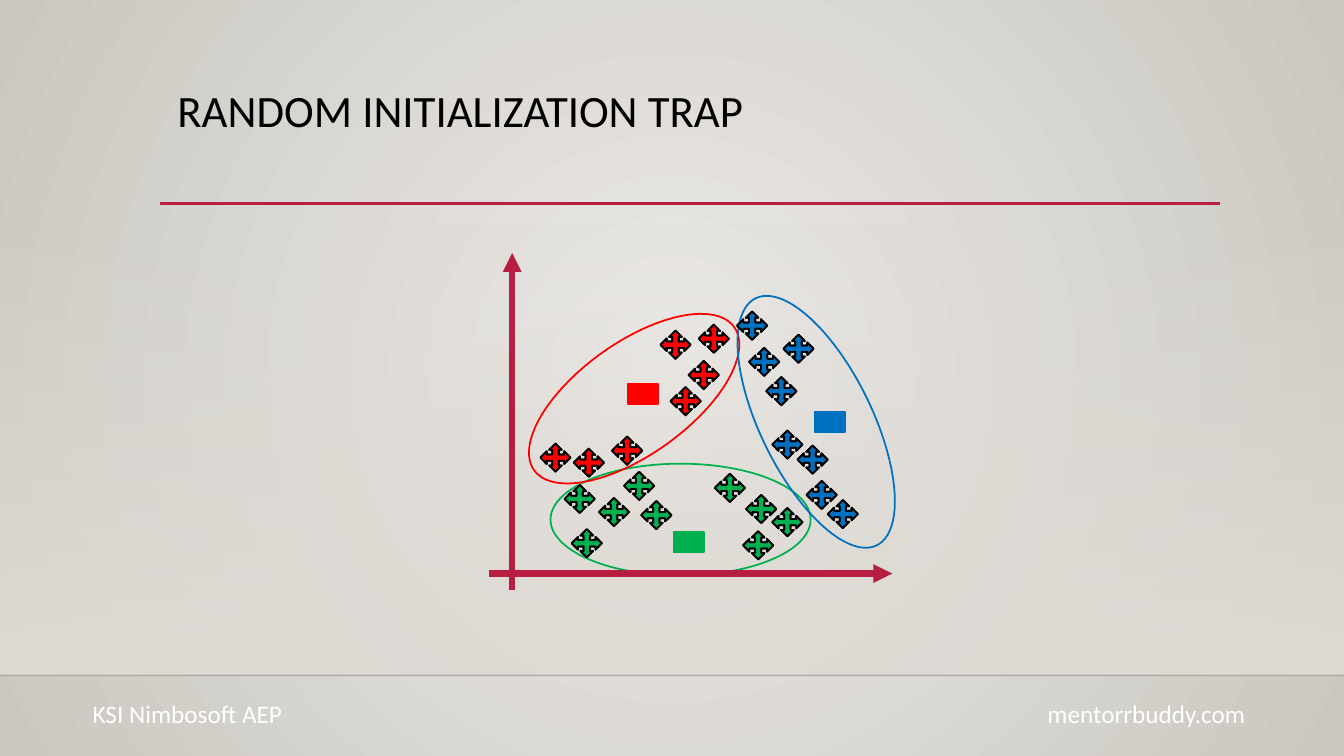
from lxml import etree
from pptx import Presentation
from pptx.dml.color import RGBColor
from pptx.enum import shapes, text
from pptx.oxml import ns
from pptx.util import Inches, Pt

BLACK = RGBColor(0x00, 0x00, 0x00)
WHITE = RGBColor(0xFF, 0xFF, 0xFF)
CRIMSON = RGBColor(0xB7, 0x1E, 0x42)
RED = RGBColor(0xFF, 0x00, 0x00)
GREEN = RGBColor(0x00, 0xB0, 0x50)
BLUE = RGBColor(0x00, 0x70, 0xC0)
PALE = RGBColor(0xEC, 0xEA, 0xE7)
STONE = RGBColor(0xCA, 0xC7, 0xC1)
SAND = RGBColor(0xDF, 0xDB, 0xD5)

# Each cluster: colour, ellipse box, ellipse rotation, centroid corner, point corners
CLUSTERS = [
    (GREEN, (5.46, 4.6, 2.58, 1.11), 0, (6.68, 5.28),
     [(5.94, 4.94), (5.6, 4.81), (5.67, 5.25), (6.19, 4.68), (6.36, 4.97),
      (7.09, 4.7), (7.66, 5.04), (7.4, 4.91), (7.37, 5.27)]),
    (RED, (5.07, 3.4, 2.44, 1.11), 324.4, (6.23, 3.81),
     [(5.36, 4.4), (5.69, 4.45), (6.07, 4.33), (6.55, 3.28), (6.83, 3.58),
      (6.93, 3.22), (6.65, 3.84)]),
    (BLUE, (6.73, 3.63, 2.73, 1.11), 63.9, (8.08, 4.09),
     [(7.77, 3.32), (7.31, 3.09), (7.43, 3.45), (7.6, 3.74), (7.66, 4.27),
      (7.91, 4.42), (8, 4.77), (8.21, 4.96)]),
]
CENTROID_SIZE = (0.3, 0.2)
POINT_SIZE = (0.3, 0.28)


def add_alpha(color_element, percent):
    etree.SubElement(color_element, ns.qn("a:alpha"), val=str(percent * 1000))


class SlideBuilder:
    """Holds the current slide and its text and line style."""
    font_name = "Calibri"
    outline_width = 1.25

    def __init__(self, presentation):
        self.slide = presentation.slides.add_slide(presentation.slide_layouts[5])

    def gradient(self, fill, element, stops, centred=False):
        """Fill with (position, colour, opacity) stops, downwards or from the centre."""
        fill.gradient()
        gradient = element.find(".//" + ns.qn("a:gradFill"))
        for child in list(gradient):
            gradient.remove(child)
        stop_list = etree.SubElement(gradient, ns.qn("a:gsLst"))
        for position, color, opacity in stops:
            stop = etree.SubElement(stop_list, ns.qn("a:gs"), pos=str(position * 1000))
            add_alpha(etree.SubElement(stop, ns.qn("a:srgbClr"), val=str(color)), opacity)
        if centred:
            circle = etree.SubElement(gradient, ns.qn("a:path"), {"path": "circle"})
            etree.SubElement(circle, ns.qn("a:fillToRect"),
                             l="50000", t="50000", r="50000", b="50000")
        else:
            etree.SubElement(gradient, ns.qn("a:lin"), ang="5400000", scaled="0")

    def background(self):
        self.gradient(self.slide.background.fill, self.slide.element,
                      [(0, PALE, 100), (100, STONE, 100)], centred=True)

    def panel(self, box):
        panel = self.shape(shapes.MSO_SHAPE.RECTANGLE, box)
        self.gradient(panel.fill, panel.element, [(0, SAND, 0), (100, SAND, 100)])

    def shape(self, kind, box, fill=None, line=None, rotation=0):
        shape = self.slide.shapes.add_shape(kind, *map(Inches, box))
        shape.shadow.inherit = False
        shape.rotation = rotation
        if fill is None:
            shape.fill.background()
        else:
            shape.fill.solid()
            shape.fill.fore_color.rgb = fill
        if line is None:
            shape.line.fill.background()
        else:
            shape.line.color.rgb = line
            shape.line.width = Pt(self.outline_width)
        return shape

    def line(self, start, end, color, width, arrow=False, opacity=100):
        connector = self.slide.shapes.add_connector(
            shapes.MSO_CONNECTOR.STRAIGHT, *map(Inches, start + end))
        connector.line.color.rgb = color
        connector.line.width = Pt(width)
        properties = connector.element.spPr
        outline = properties.find(ns.qn("a:ln"))
        if opacity < 100:
            add_alpha(outline.find(".//" + ns.qn("a:srgbClr")), opacity)
        if arrow:
            etree.SubElement(outline, ns.qn("a:tailEnd"), type="triangle")
        etree.SubElement(properties, ns.qn("a:effectLst"))

    def add_words(self, frame, words, size, color, spacing=None):
        frame.word_wrap = True
        frame.vertical_anchor = text.MSO_ANCHOR.TOP
        paragraph = frame.paragraphs[0]
        paragraph.alignment = text.PP_ALIGN.LEFT
        paragraph.line_spacing = spacing
        run = paragraph.add_run()
        run.text = words
        run.font.name = self.font_name
        run.font.size = Pt(size)
        run.font.color.rgb = color

    def title(self, words, box):
        title = self.slide.shapes.title
        title.left, title.top, title.width, title.height = map(Inches, box)
        title.text_frame.auto_size = text.MSO_AUTO_SIZE.NONE
        self.add_words(title.text_frame, words, 32, BLACK, 0.9)

    def footer(self, words, left):
        box = self.slide.shapes.add_textbox(*map(Inches, (left, 6.88, 2.22, 0.4)))
        box.text_frame.auto_size = text.MSO_AUTO_SIZE.SHAPE_TO_FIT_TEXT
        self.add_words(box.text_frame, words, 18, WHITE)

    def point(self, corner, fill=None):
        self.shape(shapes.MSO_SHAPE.QUAD_ARROW, corner + POINT_SIZE, fill, BLACK)


def main():
    presentation = Presentation()
    presentation.slide_width = Inches(13.33)
    presentation.slide_height = Inches(7.5)
    builder = SlideBuilder(presentation)

    builder.background()
    builder.panel((0, 2.21, 13.33, 4.49))
    builder.line((0, 6.7), (13.33, 6.7), BLACK, 1, opacity=20)
    builder.footer("KSI Nimbosoft AEP", 0.82)
    builder.footer("mentorrbuddy.com", 10.29)
    builder.line((1.59, 2.02), (12.1, 2.02), CRIMSON, 2.5)
    builder.title("RANDOM INITIALIZATION TRAP", (1.66, 0.83, 10.5, 1.15))

    for color, _, _, centroid, points in CLUSTERS:
        builder.shape(shapes.MSO_SHAPE.RECTANGLE, centroid + CENTROID_SIZE, color, color)
        for corner in points:
            builder.point(corner, color)
    for color, ellipse, rotation, _, _ in CLUSTERS:
        builder.shape(shapes.MSO_SHAPE.OVAL, ellipse, line=color, rotation=rotation)
    builder.line((5.08, 5.85), (5.08, 2.51), CRIMSON, 4.5, arrow=True)
    builder.line((4.85, 5.69), (8.85, 5.69), CRIMSON, 4.5, arrow=True)

    # Point outlines stay above the cluster ellipses
    for *_, points in CLUSTERS:
        for corner in points:
            builder.point(corner)

    presentation.save("out.pptx")


if __name__ == "__main__":
    main()
